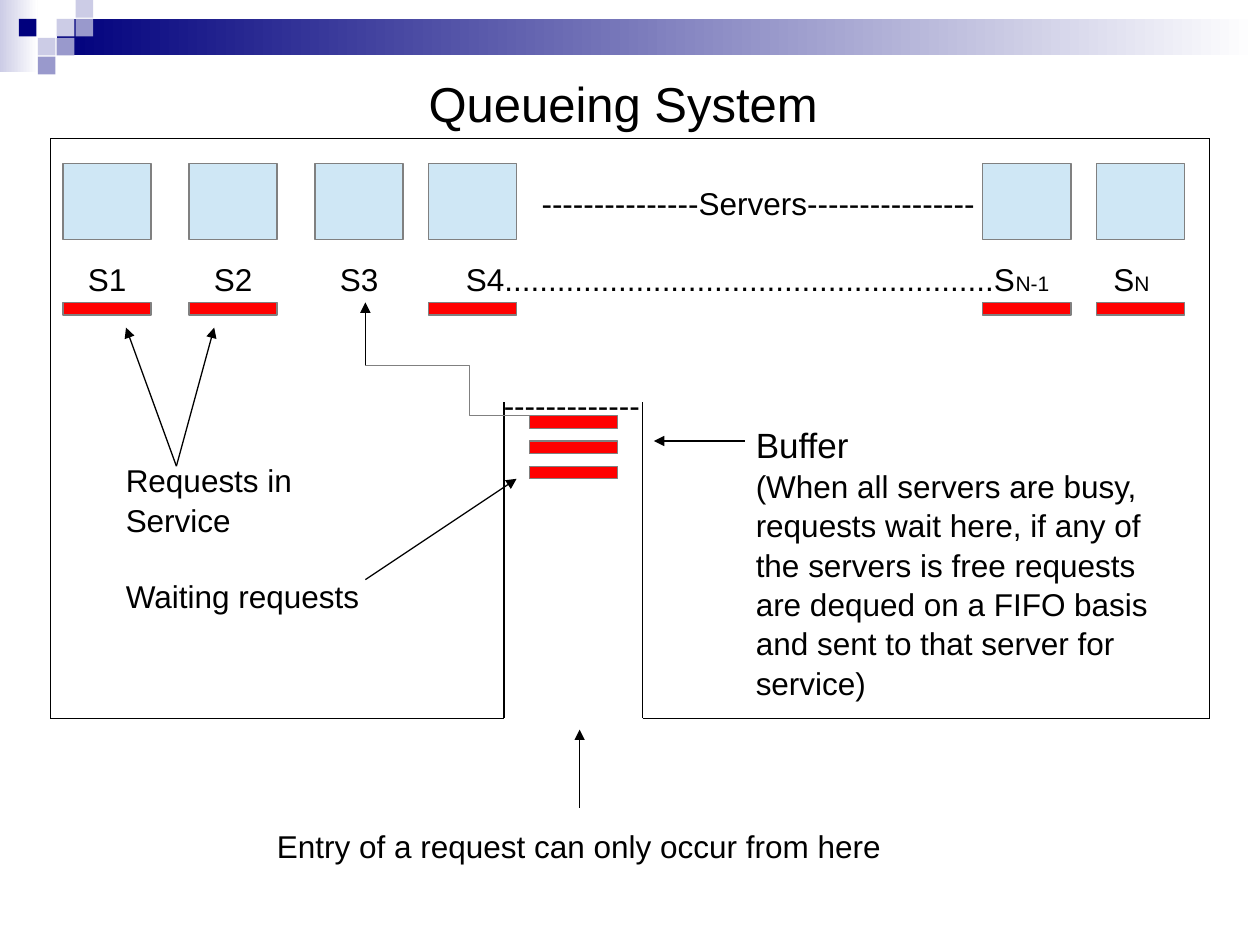
from pptx import Presentation
from pptx.dml.color import RGBColor
from pptx.enum.shapes import MSO_CONNECTOR, MSO_SHAPE
from pptx.enum.text import MSO_ANCHOR, MSO_AUTO_SIZE, PP_ALIGN
from pptx.util import Pt
from lxml.etree import SubElement
from pptx.oxml.ns import qn

THEME = {
    "font": "Arial", "title": 28, "head": 20, "body": 18, "small": 12,
    "ink": "000000", "edge": "808080", "server": "CFE7F5", "request": "FF0000",
    "navy": "00007D", "mid": "9999CC", "pale": "CCCCE6", "white": "FFFFFF",
}

TITLE = ("Queueing System", (237.6, 38.2, 236.9, 41))
BANDS = [((0, 0, 21.6, 41), "pale"), ((32.4, 10.8, 686.2, 20.9), "navy")]
TILES = [(3, 1, "pale"), (4, 0, "pale"), (4, 1, "mid"), (2, 2, "pale"),
         (1, 1, "navy"), (3, 2, "mid"), (2, 3, "mid")]
STEP, TILE = 10.8, 10.1

SERVERS = [(36, True), (108, True), (180, False), (244.8, True),
           (561.6, True), (626.4, True)]
WIDE, TALL, THIN = 50.4, 43.2, 7.2
SERVER_Y, BUSY_Y = 93.6, 172.8
QUEUE_X, QUEUE_Y, QUEUE_GAP, WAITING = 302.4, 237.6, 14.4, 3

LEFT, TOP, RIGHT, BASE = 28.8, 79.2, 691.2, 410.4
MOUTH_L, MOUTH_R, MOUTH_Y = 288, 367.2, 229.7
WALLS = [
    (LEFT, TOP, RIGHT, TOP), (LEFT, TOP, LEFT, BASE), (RIGHT, TOP, RIGHT, BASE),
    (LEFT, BASE, MOUTH_L, BASE), (MOUTH_R, BASE, RIGHT, BASE),
    (MOUTH_L, BASE, MOUTH_L, MOUTH_Y), (MOUTH_R, BASE, MOUTH_R, MOUTH_Y),
]
ARROWS = [
    (425.5, 252, 373.7, 252), (331.2, 461.5, 331.2, 416.9),
    (208.8, 208.8, 208.8, 172.8), (100.8, 266.4, 72, 187.2),
    (100.8, 266.4, 122.4, 187.2), (208.8, 331.2, 295.2, 273.6),
]
ROUTE = (327.6, 237.6, 208.8, 208.8)

NOTES = [
    ((302.4, 100.8, 338.4, 28.8), [[("---------------Servers----------------", "body")]]),
    ((424.8, 237.6, 259.2, 160.6), [
        [("Buffer", "head")],
        [("(When all servers are busy, requests wait here, if any of the servers "
          "is free requests are dequed on a FIFO basis and sent to that server "
          "for service)", "body")]]),
    ((151.2, 468, 424.8, 28.8),
     [[("Entry of a request can only occur from here", "body")]]),
    ((280.8, 216, 93.6, 28.8), [[("-------------", "body")]]),
    ((64.8, 259.2, 172.8, 93.6), [
        [("Requests in", "body")], [("Service", "body")],
        [("Waiting requests", "body")]]),
]
LABELS = ((43.2, 144, 633.6, 28.8), [[
    ("S1\tS2\tS3\tS4" + "." * 56 + "S", "body"), ("N-1\t", "small"),
    ("S", "body"), ("N", "small")]])
STOPS = [72, 144, 216, 586]
LEADING, BREAK = 1.04, 21.5


def color(key):
    return RGBColor.from_string(THEME[key])


def style(run, size):
    run.font.name = THEME["font"]
    run.font.size = Pt(THEME[size])
    run.font.color.rgb = color("ink")


def rect(slide, box, fill, edge=None):
    shape = slide.shapes.add_shape(MSO_SHAPE.RECTANGLE, *map(Pt, box))
    shape.shadow.inherit = False
    shape.fill.solid()
    shape.fill.fore_color.rgb = color(fill)
    if edge:
        shape.line.color.rgb = color(edge)
        shape.line.width = Pt(0.75)
    else:
        shape.line.fill.background()
    return shape


def band(slide, box, start):
    fill = rect(slide, box, start).fill
    fill.gradient()
    fill.gradient_angle = 0
    for stop, key in zip(fill.gradient_stops, (start, "white")):
        stop.color.rgb = color(key)


def line(slide, ends, ink="ink", kind=MSO_CONNECTOR.STRAIGHT, arrow=False):
    link = slide.shapes.add_connector(kind, *map(Pt, ends))
    link.line.color.rgb = color(ink)
    link.line.width = Pt(0.75)
    props = link._element.spPr
    if arrow:
        SubElement(props.find(qn("a:ln")), qn("a:tailEnd"), type="triangle")
    SubElement(props, qn("a:effectLst"))


def note(slide, box, paras):
    frame = slide.shapes.add_textbox(*map(Pt, box)).text_frame
    frame.word_wrap = True
    for i, parts in enumerate(paras):
        para = frame.add_paragraph() if i else frame.paragraphs[0]
        para.line_spacing = LEADING
        for text, size in parts:
            run = para.add_run()
            run.text = text
            style(run, size)
    return frame


def head(slide):
    text, box = TITLE
    title = slide.shapes.title
    title.left, title.top, title.width, title.height = map(Pt, box)
    frame = title.text_frame
    frame.text = text
    frame.word_wrap = False
    frame.auto_size = MSO_AUTO_SIZE.NONE
    frame.vertical_anchor = MSO_ANCHOR.MIDDLE
    frame.paragraphs[0].alignment = PP_ALIGN.CENTER
    style(frame.paragraphs[0].runs[0], "title")


def main():
    deck = Presentation()
    deck.slide_width, deck.slide_height = Pt(720), Pt(540)
    slide = deck.slides.add_slide(deck.slide_layouts[5])
    head(slide)
    for box, start in BANDS:
        band(slide, box, start)
    for col, row, fill in TILES:
        rect(slide, (col * STEP, row * STEP, TILE, TILE), fill)

    for x, busy in SERVERS:
        rect(slide, (x, SERVER_Y, WIDE, TALL), "server", "edge")
        if busy:
            rect(slide, (x, BUSY_Y, WIDE, THIN), "request", "edge")
    for wall in WALLS:
        line(slide, wall)
    for i in range(WAITING):
        rect(slide, (QUEUE_X, QUEUE_Y + i * QUEUE_GAP, WIDE, THIN), "request", "edge")

    frames = [note(slide, *item) for item in NOTES]
    frames[-1].paragraphs[-1].space_before = Pt(BREAK)
    labels = note(slide, *LABELS)
    tabs = SubElement(labels.paragraphs[0]._p.get_or_add_pPr(), qn("a:tabLst"))
    for stop in STOPS:
        SubElement(tabs, qn("a:tab"), pos=str(Pt(stop)), algn="l")

    line(slide, ROUTE, "edge", MSO_CONNECTOR.ELBOW)
    for ends in ARROWS:
        line(slide, ends, arrow=True)
    deck.save("out.pptx")


if __name__ == "__main__":
    main()
